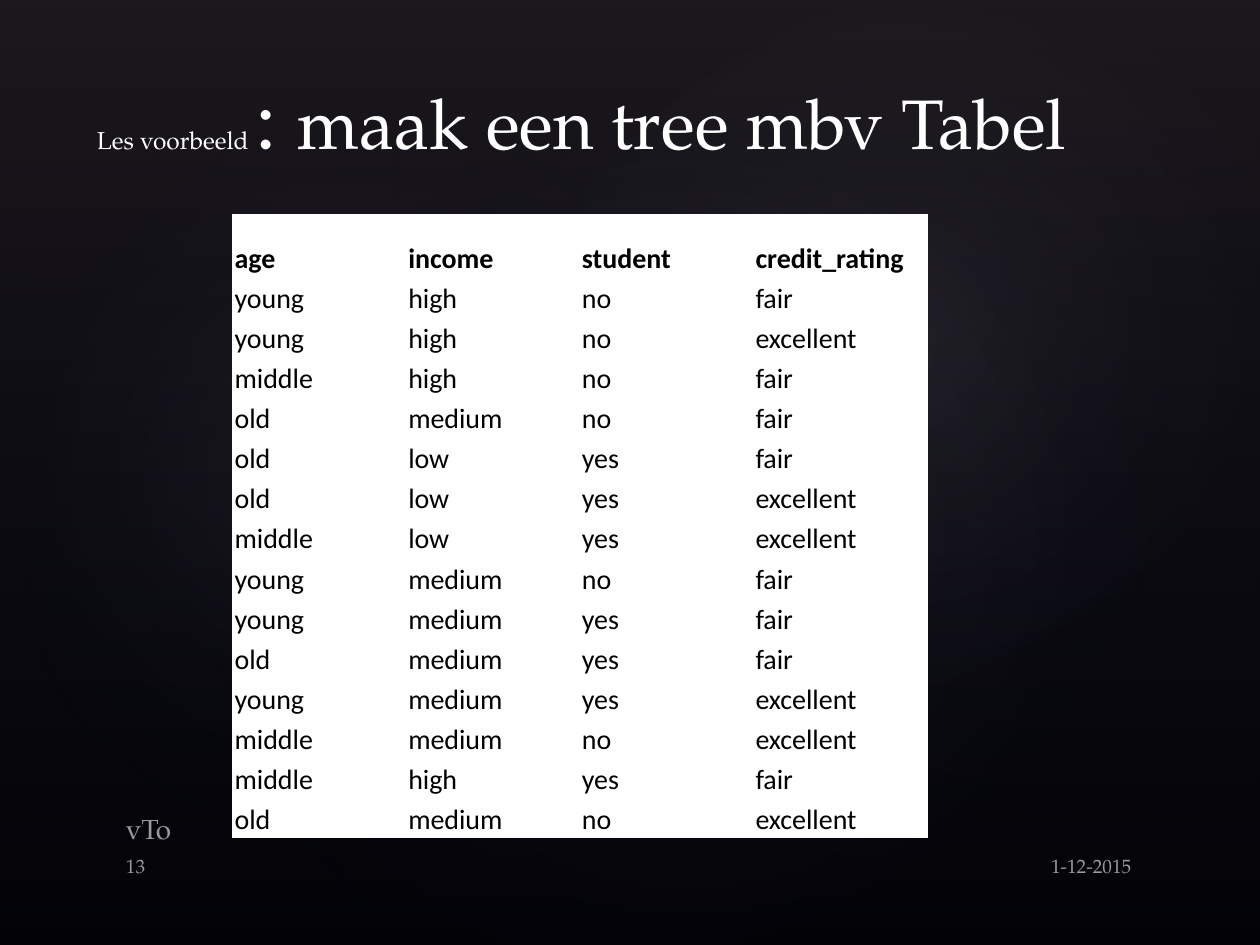
from pptx import Presentation
from pptx.dml.color import RGBColor
from pptx.enum.shapes import MSO_SHAPE
from pptx.enum.text import MSO_ANCHOR, PP_ALIGN
from pptx.oxml import parse_xml
from pptx.oxml.ns import nsdecls, qn
from pptx.util import Cm, Pt
from lxml.etree import SubElement

COLORS = {"black": "000000", "white": "FFFFFF", "mauve": "504652",
          "navy": "242852", "glow": "C4BCC6"}
SERIF = "TeX Gyre Pagella"
LINEAR = '<a:lin ang="5400000" scaled="0"/>'
RADIAL = ('<a:path path="circle">'
          '<a:fillToRect l="50000" t="50000" r="50000" b="50000"/></a:path>')
GLOWS = [((3.81, 2.9, 20.12, 15.85), 328.7, 7),
         ((-0.76, 3.25, 15.39, 12.45), 294.3, 8),
         ((9.09, 0.33, 18.01, 13.21), 328.7, 8)]
HEADERS = ["age", "income", "student", "credit_rating"]
RECORDS = """young high no fair
young high no excellent
middle high no fair
old medium no fair
old low yes fair
old low yes excellent
middle low yes excellent
young medium no fair
young medium yes fair
old medium yes fair
young medium yes excellent
middle medium no excellent
middle high yes fair
old medium no excellent"""


def color(name):
    """Return the named colour."""
    return RGBColor.from_string(COLORS[name])


def set_font(font, name, size, color_name, bold=False):
    """Format a font."""
    font.name, font.size, font.bold = name, Pt(size), bold
    font.color.rgb = color(color_name)


def add_gradient_shape(slide, kind, box, stops, direction, rotation=0):
    """Add a borderless shape with a translucent gradient."""
    shape = slide.shapes.add_shape(kind, *map(Cm, box))
    shape.rotation = rotation
    shape.shadow.inherit = False
    shape.line.fill.background()
    stop_list = "".join(
        f'<a:gs pos="{position * 1000}"><a:srgbClr val="{COLORS[name]}">'
        f'<a:alpha val="{alpha * 1000}"/></a:srgbClr></a:gs>'
        for position, name, alpha in stops)
    gradient = parse_xml(f'<a:gradFill {nsdecls("a")} rotWithShape="1">'
                         f'<a:gsLst>{stop_list}</a:gsLst>{direction}</a:gradFill>')
    shape._element.spPr.find(qn("a:prstGeom")).addnext(gradient)


def add_backdrop(slide, box):
    """Draw the dark background with its soft glows."""
    slide.background.fill.solid()
    slide.background.fill.fore_color.rgb = color("black")
    add_gradient_shape(slide, MSO_SHAPE.RECTANGLE, box,
                       [(0, "mauve", 36), (100, "navy", 10)], LINEAR)
    for (left, top, width, height), rotation, alpha in GLOWS:
        add_gradient_shape(slide, MSO_SHAPE.OVAL,
                           (box[0] + left, box[1] + top, width, height),
                           [(0, "glow", alpha), (58, "navy", 0)], RADIAL, rotation)


def add_title(slide, box):
    """Fill the title placeholder and bring it to the front."""
    title = slide.shapes.title
    title.left, title.top, title.width, title.height = map(Cm, box)
    slide.shapes._spTree.append(title._element)
    title.text_frame.word_wrap = True
    title.text_frame.vertical_anchor = MSO_ANCHOR.BOTTOM
    paragraph = title.text_frame.paragraphs[0]
    paragraph.alignment = PP_ALIGN.LEFT
    for text, size in [("Les voorbeeld ", 14), (": ", 49),
                       ("maak een tree mbv Tabel", 40)]:
        run = paragraph.add_run()
        run.text = text
        set_font(run.font, SERIF, size, "white")


def add_label(slide, box, text, size, alignment=PP_ALIGN.LEFT):
    """Add a translucent footer label."""
    frame = slide.shapes.add_textbox(*map(Cm, box)).text_frame
    frame.word_wrap = True
    paragraph = frame.paragraphs[0]
    paragraph.alignment = alignment
    run = paragraph.add_run()
    run.text = text
    set_font(run.font, SERIF, size, "white")
    fill = run._r.rPr.find(qn("a:solidFill"))
    SubElement(fill[0], qn("a:alpha"), val="60000")
    return frame


def add_footer(slide, box):
    """Place the author, page number and date."""
    left, top, width, height = box
    author = add_label(slide, (left, top, 5.92, 0.84), "vTo", 16)
    author.vertical_anchor = MSO_ANCHOR.BOTTOM
    author.margin_bottom = Cm(0.03)
    lower_top = top + 0.86
    add_label(slide, (left, lower_top, 12.7, height - 0.86), "13", 11)
    add_label(slide, (left + width - 5.92, lower_top, 5.92, height - 0.86),
              "1-12-2015", 11, PP_ALIGN.RIGHT)


def add_records(slide, box):
    """Add the table of training records."""
    rows = [HEADERS] + [line.split() for line in RECORDS.splitlines()]
    table = slide.shapes.add_table(len(rows), len(HEADERS), *map(Cm, box)).table
    table.first_row = table.horz_banding = False
    header_height = 1.25
    record_height = (box[3] - header_height) / (len(rows) - 1)
    for column in table.columns:
        column.width = Cm(box[2] / len(HEADERS))
    for row_index, values in enumerate(rows):
        is_header = row_index == 0
        table.rows[row_index].height = Cm(header_height if is_header else record_height)
        for column_index, value in enumerate(values):
            cell = table.cell(row_index, column_index)
            cell.text = value
            cell.fill.solid()
            cell.fill.fore_color.rgb = color("white")
            cell.vertical_anchor = MSO_ANCHOR.BOTTOM
            cell.margin_left = cell.margin_right = cell.margin_top = Cm(0.03)
            cell.margin_bottom = 0
            set_font(cell.text_frame.paragraphs[0].font, "Calibri", 16, "black", is_header)


def main():
    """Build and save the slide."""
    presentation = Presentation()
    presentation.slide_width, presentation.slide_height = Cm(25.4), Cm(19.05)
    slide = presentation.slides.add_slide(presentation.slide_layouts[5])
    add_backdrop(slide, (0, 0, 25.4, 19.05))
    add_title(slide, (1.7, 0.91, 21.59, 2.57))
    add_footer(slide, (2.29, 16.23, 20.77, 1.88))
    add_records(slide, (4.7, 4.32, 14, 12.55))
    presentation.save("out.pptx")


main()
